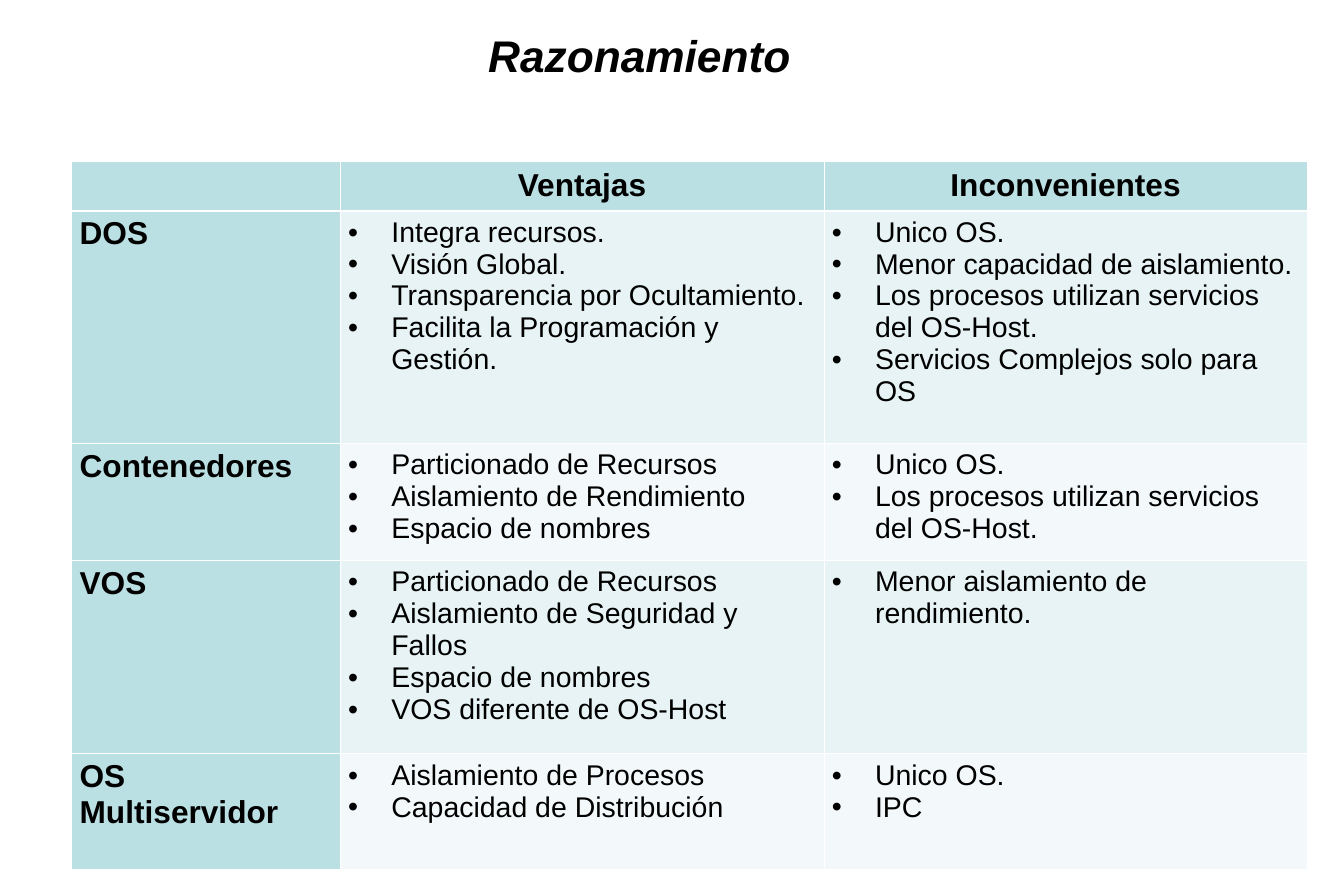
from pptx import Presentation
from pptx.dml.color import RGBColor as RGB
from pptx.enum.text import MSO_ANCHOR as Anchor, MSO_AUTO_SIZE as AutoSize, PP_ALIGN as Align
from pptx.oxml.ns import qn
from pptx.util import Inches, Pt
from lxml.etree import SubElement

COLORS = {
    "text": "000000",
    "border": "FFFFFF",
    "header": "BBE0E3",
    "band_dark": "E7F3F4",
    "band_light": "F3F9FA",
}
FONT = "Arial"
THIN, THICK = 0.45, 1.47
COLUMN_WIDTHS = [2.36, 4.25, 4.25]
ROW_HEIGHTS = [0.43, 2.04, 1.03, 1.7, 1.02]
HEADERS = ["", "Ventajas", "Inconvenientes"]
SYSTEMS = [
    ("DOS",
     ["Integra recursos.", "Visión Global.", "Transparencia por Ocultamiento.",
      "Facilita la Programación y Gestión."],
     ["Unico OS.", "Menor capacidad de aislamiento.",
      "Los procesos utilizan servicios del OS-Host.",
      "Servicios Complejos solo para OS"]),
    ("Contenedores",
     ["Particionado de Recursos", "Aislamiento de Rendimiento", "Espacio de nombres"],
     ["Unico OS.", "Los procesos utilizan servicios del OS-Host."]),
    ("VOS",
     ["Particionado de Recursos", "Aislamiento de Seguridad y Fallos",
      "Espacio de nombres", "VOS diferente de OS-Host"],
     ["Menor aislamiento de rendimiento."]),
    ("OS Multiservidor",
     ["Aislamiento de Procesos", "Capacidad de Distribución"],
     ["Unico OS.", "IPC"]),
]


class SlideBuilder:
    """Holds the style and the current slide."""

    def __init__(self, presentation):
        self.slide = presentation.slides.add_slide(presentation.slide_layouts[5])

    def add_run(self, paragraph, text, size, bold=False, italic=False):
        run = paragraph.add_run()
        run.text = text
        font = run.font
        font.name, font.size = FONT, Pt(size)
        font.bold, font.italic = bold, italic
        font.color.rgb = RGB.from_string(COLORS["text"])

    def title(self, text, left, top, width, height):
        shape = self.slide.shapes.title
        shape.left, shape.top = Inches(left), Inches(top)
        shape.width, shape.height = Inches(width), Inches(height)
        frame = shape.text_frame
        frame.word_wrap = True
        frame.auto_size = AutoSize.NONE
        frame.vertical_anchor = Anchor.TOP
        # No right inset, so the word keeps to one line
        frame.margin_left, frame.margin_right = Inches(0.1), Inches(0)
        paragraph = frame.paragraphs[0]
        paragraph.alignment = Align.LEFT
        self.add_run(paragraph, text, 28, bold=True, italic=True)

    def table(self, left, top, column_widths, row_heights):
        frame = self.slide.shapes.add_table(
            len(row_heights), len(column_widths), Inches(left), Inches(top),
            Inches(sum(column_widths)), Inches(sum(row_heights)))
        table = frame.table
        table.first_row = table.horz_banding = False
        for column, width in zip(table.columns, column_widths):
            column.width = Inches(width)
        for row, height in zip(table.rows, row_heights):
            row.height = Inches(height)
        return table

    def borders(self, cell, top=THIN, bottom=THIN):
        properties = cell._tc.get_or_add_tcPr()
        for side, width in (("L", THIN), ("R", THIN), ("T", top), ("B", bottom)):
            line = SubElement(properties, qn(f"a:ln{side}"), w=str(Pt(width)))
            fill = SubElement(line, qn("a:solidFill"))
            SubElement(fill, qn("a:srgbClr"), val=COLORS["border"])

    def cell(self, cell, color, row_index):
        self.borders(cell, top=THICK if row_index == 1 else THIN,
                     bottom=THICK if row_index == 0 else THIN)
        cell.fill.solid()
        cell.fill.fore_color.rgb = RGB.from_string(COLORS[color])
        cell.margin_left = cell.margin_right = Inches(0.07)
        cell.margin_top = cell.margin_bottom = Inches(0.05)

    def heading(self, cell, text, alignment):
        if text:
            paragraph = cell.text_frame.paragraphs[0]
            paragraph.alignment = alignment
            self.add_run(paragraph, text, 20, bold=True)

    def bullets(self, cell, items):
        frame = cell.text_frame
        for index, item in enumerate(items):
            paragraph = frame.add_paragraph() if index else frame.paragraphs[0]
            properties = paragraph._p.get_or_add_pPr()
            properties.set("marL", str(Inches(0.38)))
            properties.set("indent", str(Inches(-0.38)))
            SubElement(properties, qn("a:buFont"), typeface=FONT)
            SubElement(properties, qn("a:buChar"), char="•")
            self.add_run(paragraph, item, 18)


def main():
    presentation = Presentation()
    presentation.slide_width = Inches(11.81)
    presentation.slide_height = Inches(7.87)
    builder = SlideBuilder(presentation)

    # Title
    builder.title("Razonamiento", 4.19, 0.2, 2.85, 0.57)

    # Header row
    table = builder.table(0.63, 1.42, COLUMN_WIDTHS, ROW_HEIGHTS)
    for column, text in enumerate(HEADERS):
        cell = table.cell(0, column)
        builder.cell(cell, "header", 0)
        builder.heading(cell, text, Align.CENTER)

    # One banded row per kind of system
    for row, (system, *lists) in enumerate(SYSTEMS, start=1):
        name_cell = table.cell(row, 0)
        builder.cell(name_cell, "header", row)
        builder.heading(name_cell, system, Align.LEFT)
        band = "band_dark" if row % 2 else "band_light"
        for column, items in enumerate(lists, start=1):
            cell = table.cell(row, column)
            builder.cell(cell, band, row)
            builder.bullets(cell, items)

    presentation.save("out.pptx")


if __name__ == "__main__":
    main()
